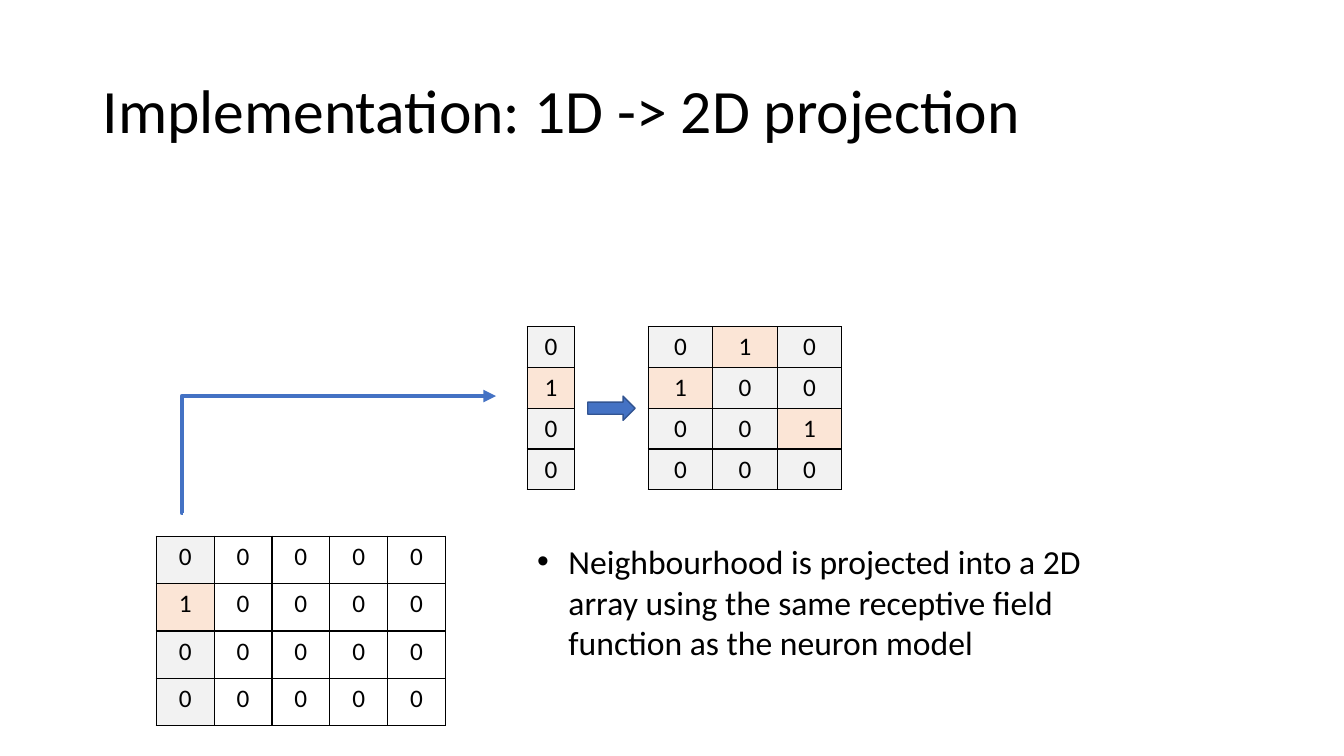
from lxml import etree
from pptx import Presentation
from pptx import util as u
from pptx.dml.color import RGBColor
from pptx.enum import shapes, text
from pptx.oxml import parse_xml
from pptx.oxml.ns import nsdecls, qn

INK, PLAIN, NEIGHBOUR, ACTIVE = "000000", "FFFFFF", "F2F2F2", "FBE5D6"
ARROW, ARROW_EDGE = "4472C4", "325491"


def color(hex_value):
    return RGBColor.from_string(hex_value)


def apply(target, values):
    for name, value in values.items():
        setattr(target, name, value)


def box(*lengths):
    return [u.Inches(length) for length in lengths]


class SlideBuilder:
    font_name = "Calibri"

    def __init__(self, slide):
        self.slide = slide

    def style(self, paragraph, size):
        apply(paragraph.font, {"name": self.font_name, "size": u.Pt(size)})
        paragraph.font.color.rgb = color(INK)

    def text(self, place, wording, size, anchor=text.MSO_ANCHOR.TOP,
             line_spacing=1.0, bullet_indent=None):
        frame = self.slide.shapes.add_textbox(*box(*place)).text_frame
        apply(frame, {"word_wrap": True, "vertical_anchor": anchor})
        paragraph = frame.paragraphs[0]
        paragraph.text = wording
        paragraph.line_spacing = line_spacing
        if bullet_indent:
            properties = paragraph._p.get_or_add_pPr()
            indent = u.Inches(bullet_indent)
            properties.set("marL", str(indent))
            properties.set("indent", str(-indent))
            etree.SubElement(properties, qn("a:buFont")).set("typeface", "Arial")
            etree.SubElement(properties, qn("a:buChar")).set("char", "•")
        self.style(paragraph, size)

    def border(self, cell):
        properties = cell._tc.get_or_add_tcPr()
        for side in "LRTB":
            properties.append(parse_xml(
                f'<a:ln{side} {nsdecls("a")} w="{u.Pt(1)}"><a:solidFill>'
                f'<a:srgbClr val="{INK}"/></a:solidFill></a:ln{side}>'))

    def matrix(self, place, rows, neighbour_columns):
        """Draw rows of digits; neighbourhood columns are tinted, their ones highlighted."""
        frame = self.slide.shapes.add_table(len(rows), len(rows[0]), *box(*place))
        table = frame.table
        apply(table, {"first_row": False, "horz_banding": False})
        for r, row in enumerate(rows):
            for c, digit in enumerate(row):
                cell = table.cell(r, c)
                cell.text = digit
                paragraph = cell.text_frame.paragraphs[0]
                paragraph.alignment = text.PP_ALIGN.CENTER
                self.style(paragraph, 18)
                self.border(cell)
                tint = ACTIVE if digit == "1" else NEIGHBOUR
                cell.fill.solid()
                cell.fill.fore_color.rgb = color(tint if c < neighbour_columns else PLAIN)

    def block_arrow(self, place):
        arrow = self.slide.shapes.add_shape(shapes.MSO_SHAPE.RIGHT_ARROW, *box(*place))
        arrow.shadow.inherit = False
        arrow.fill.solid()
        arrow.fill.fore_color.rgb = color(ARROW)
        arrow.line.color.rgb = color(ARROW_EDGE)
        arrow.line.width = u.Pt(1)

    def corner_arrow(self, start, end):
        """Draw an arrow that runs vertically from start, then horizontally to end."""
        arrow = self.slide.shapes.add_connector(
            shapes.MSO_CONNECTOR.ELBOW, *box(*start, *end))
        arrow.line.color.rgb = color(ARROW)
        arrow.line.width = u.Pt(3)
        properties = arrow._element.spPr
        guides = properties.find(qn("a:prstGeom")).get_or_add_avLst()
        bend = etree.SubElement(guides, qn("a:gd"))
        bend.set("name", "adj1")
        bend.set("fmla", "val -200")
        etree.SubElement(properties.find(qn("a:ln")), qn("a:tailEnd")).set("type", "triangle")
        etree.SubElement(properties, qn("a:effectLst"))


def main():
    deck = Presentation()
    apply(deck, {"slide_width": u.Inches(13.33), "slide_height": u.Inches(7.5)})
    builder = SlideBuilder(deck.slides.add_slide(deck.slide_layouts[6]))

    builder.text((0.92, 0.4, 11.5, 1.45), "Implementation: 1D -> 2D projection", 44,
                 anchor=text.MSO_ANCHOR.MIDDLE, line_spacing=0.9)
    builder.matrix((5.23, 3.24, 0.47, 1.62), ["0", "1", "0", "0"], 1)
    builder.matrix((6.43, 3.24, 1.92, 1.62), ["010", "100", "001", "000"], 3)
    builder.block_arrow((5.83, 3.93, 0.47, 0.24))
    builder.matrix((1.55, 5.32, 2.87, 1.88), ["00000", "10000", "00000", "00000"], 1)
    builder.corner_arrow((1.81, 5.09), (4.92, 3.93))
    builder.text((5.23, 5.32, 5.95, 1.31),
                 "Neighbourhood is projected into a 2D array using the same "
                 "receptive field function as the neuron model",
                 24, bullet_indent=0.31)
    deck.save("out.pptx")


if __name__ == "__main__":
    main()
